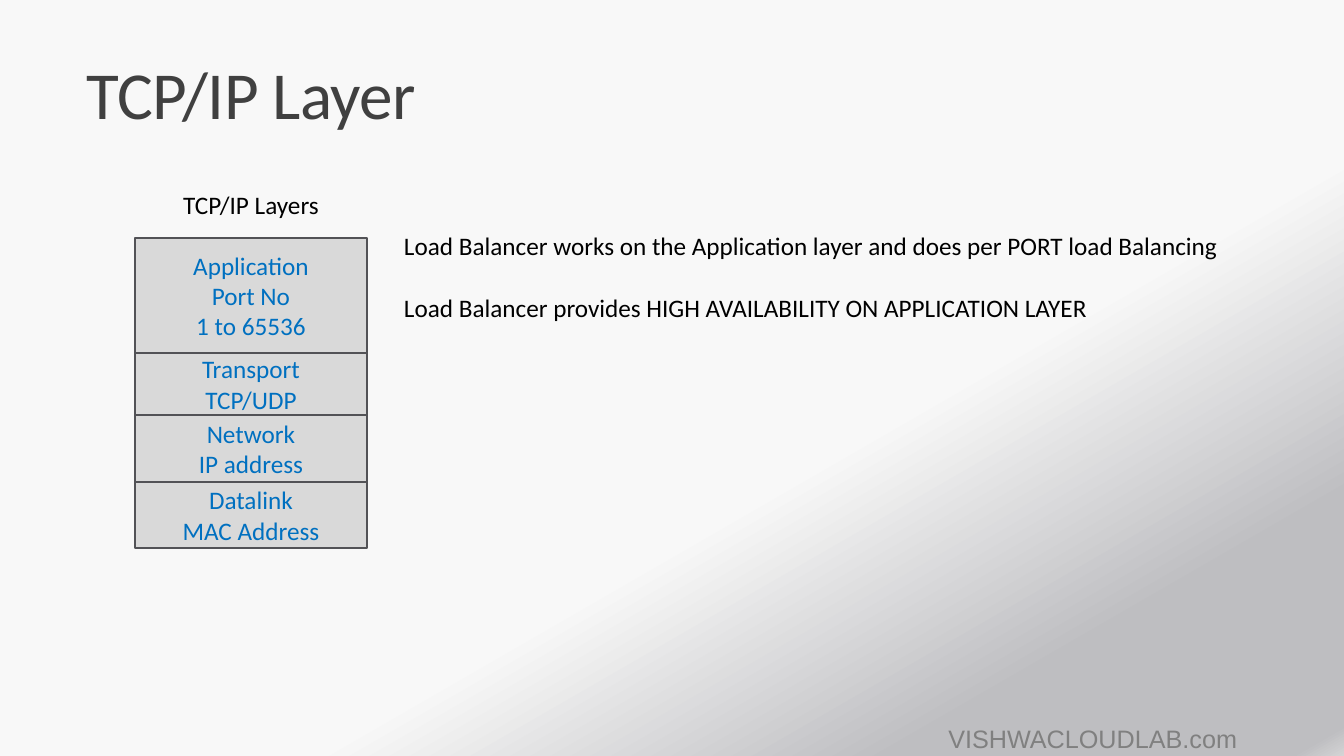
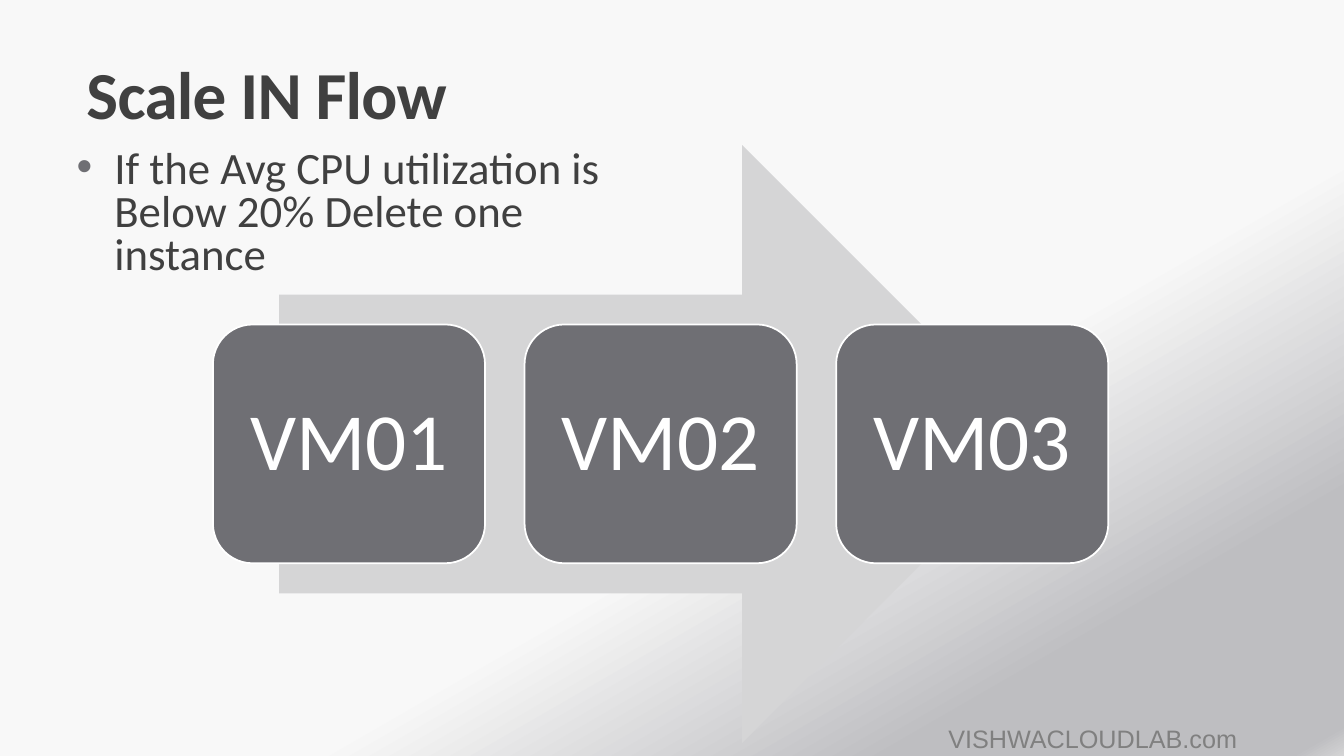
from dataclasses import dataclass

from lxml.etree import SubElement as Sub
from pptx import Presentation
from pptx.dml.color import RGBColor as Rgb
from pptx.enum.shapes import MSO_SHAPE as Shape
from pptx.enum.text import MSO_ANCHOR as Anchor, PP_ALIGN as Align
from pptx.oxml.ns import qn
from pptx.util import Pt

# Content
FOOT = "VISHWACLOUDLAB.com"
LAYERS = [  # lines of text, height
    (["Application", "Port No", "1 to 65536"], 82),
    (["Transport", "TCP/UDP"], 44.6),
    (["Network", "IP address"], 47.5),
    (["Datalink", "MAC Address"], 47.5),
]
NOTES = [
    "Load Balancer works on the Application layer and does per PORT load Balancing",
    "Load Balancer provides HIGH AVAILABILITY ON APPLICATION LAYER",
]
RULE = "If the Avg CPU utilization is Below 20% Delete one instance"
NODES = ["VM01", "VM02", "VM03"]


@dataclass(frozen=True)
class Theme:
    font: str = "Calibri"
    alt: str = "Arial"
    ink: str = "404040"
    black: str = "000000"
    white: str = "FFFFFF"
    foot: str = "808080"
    blue: str = "0070C0"
    cell: str = "D9D9D9"
    edge: str = "525256"
    card: str = "6F6F74"
    arrow: str = "D5D5D6"
    glow: tuple = ((61, "F8F8F8"), (83, "BEBEC1"), (98, "BEBEC1"), (100, "D4D4D5"))
    small: float = 18
    body: float = 32
    head: float = 48
    big: float = 58
    rim: float = 1.25


T = Theme()


# Helpers
def write(shape, lines, size=T.small, color=T.black, font=T.font, bold=False,
          align=Align.LEFT, anchor=Anchor.TOP, inset=(7.2, 3.6), lead=None,
          gap=0, track=0, dot=None, hang=0):
    frame = shape.text_frame
    frame.word_wrap = True
    frame.vertical_anchor = anchor
    frame.margin_left = frame.margin_right = Pt(inset[0])
    frame.margin_top = frame.margin_bottom = Pt(inset[1])
    for i, line in enumerate(lines):
        para = frame.add_paragraph() if i else frame.paragraphs[0]
        para.alignment = align
        if lead:
            para.line_spacing = lead
        if i and gap:
            para.space_before = Pt(gap)
        if dot:
            props = para._p.get_or_add_pPr()
            props.set("marL", str(Pt(hang)))
            props.set("indent", str(-Pt(hang)))
            Sub(Sub(props, qn("a:buClr")), qn("a:srgbClr"), val=dot)
            Sub(props, qn("a:buFont"), typeface=T.alt)
            Sub(props, qn("a:buChar"), char="•")
        run = para.add_run()
        run.text = line
        face = run.font
        face.name, face.size, face.bold = font, Pt(size), bold
        face.color.rgb = Rgb.from_string(color)
        if track:
            run._r.get_or_add_rPr().set("spc", str(int(track * 100)))


def label(slide, box, lines, **style):
    write(slide.shapes.add_textbox(*map(Pt, box)), lines, **style)


def block(slide, kind, box, fill, rim=None):
    shape = slide.shapes.add_shape(kind, *map(Pt, box))
    shape.shadow.inherit = False
    shape.fill.solid()
    shape.fill.fore_color.rgb = Rgb.from_string(fill)
    if rim:
        shape.line.color.rgb = Rgb.from_string(rim)
        shape.line.width = Pt(T.rim)
    else:
        shape.line.fill.background()
    return shape


def page(deck, title, bold=False):
    slide = deck.slides.add_slide(deck.slide_layouts[6])
    # Background gradient
    fill = slide.background.fill
    fill.gradient()
    fill.gradient_angle = 300
    stops = slide.element.find(".//" + qn("a:gsLst"))
    for old in list(stops):
        stops.remove(old)
    for pos, color in T.glow:
        Sub(Sub(stops, qn("a:gs"), pos=str(pos * 1000)), qn("a:srgbClr"), val=color)
    # Footer and title
    label(slide, (670.3, 513.4, 288, 28.8), [FOOT], font=T.alt, color=T.foot)
    label(slide, (54.7, 22.3, 792, 76.3), [title], size=T.head, color=T.ink,
          bold=bold, anchor=Anchor.BOTTOM, lead=0.85, track=-0.5)
    return slide


# Slides
def stack(deck):
    slide = page(deck, "TCP/IP Layer")
    left, top, wide = 96.5, 170, 165.6
    for lines, high in LAYERS:
        cell = block(slide, Shape.RECTANGLE, (left, top, wide, high), T.cell, T.edge)
        write(cell, lines, color=T.blue, align=Align.CENTER, anchor=Anchor.MIDDLE)
        top += high
    label(slide, (left, 131.8, wide, 28.8), ["TCP/IP Layers"], align=Align.CENTER)
    label(slide, (281.5, 161.3, 620, 72.7), NOTES, gap=22)


def flow(deck):
    slide = page(deck, "Scale IN Flow", bold=True)
    block(slide, Shape.RIGHT_ARROW, (199.4, 103.7, 544.3, 427), T.arrow)
    wide, gap = 194.4, 28.2
    for i, name in enumerate(NODES):
        box = (152.1 + i * (wide + gap), 231.8, wide, 170.6)
        card = block(slide, Shape.ROUNDED_RECTANGLE, box, T.card, T.white)
        write(card, [name], size=T.big, color=T.white, align=Align.CENTER,
              anchor=Anchor.MIDDLE, inset=(14, 14), lead=0.9)
    label(slide, (54.7, 103.7, 425.5, 106.6), [RULE], size=T.body, color=T.ink,
          inset=(0, 3.6), lead=0.8, dot=T.card, hang=27)


def main():
    deck = Presentation()
    deck.slide_width, deck.slide_height = Pt(960), Pt(540)
    stack(deck)
    flow(deck)
    deck.save("out.pptx")


if __name__ == "__main__":
    main()
